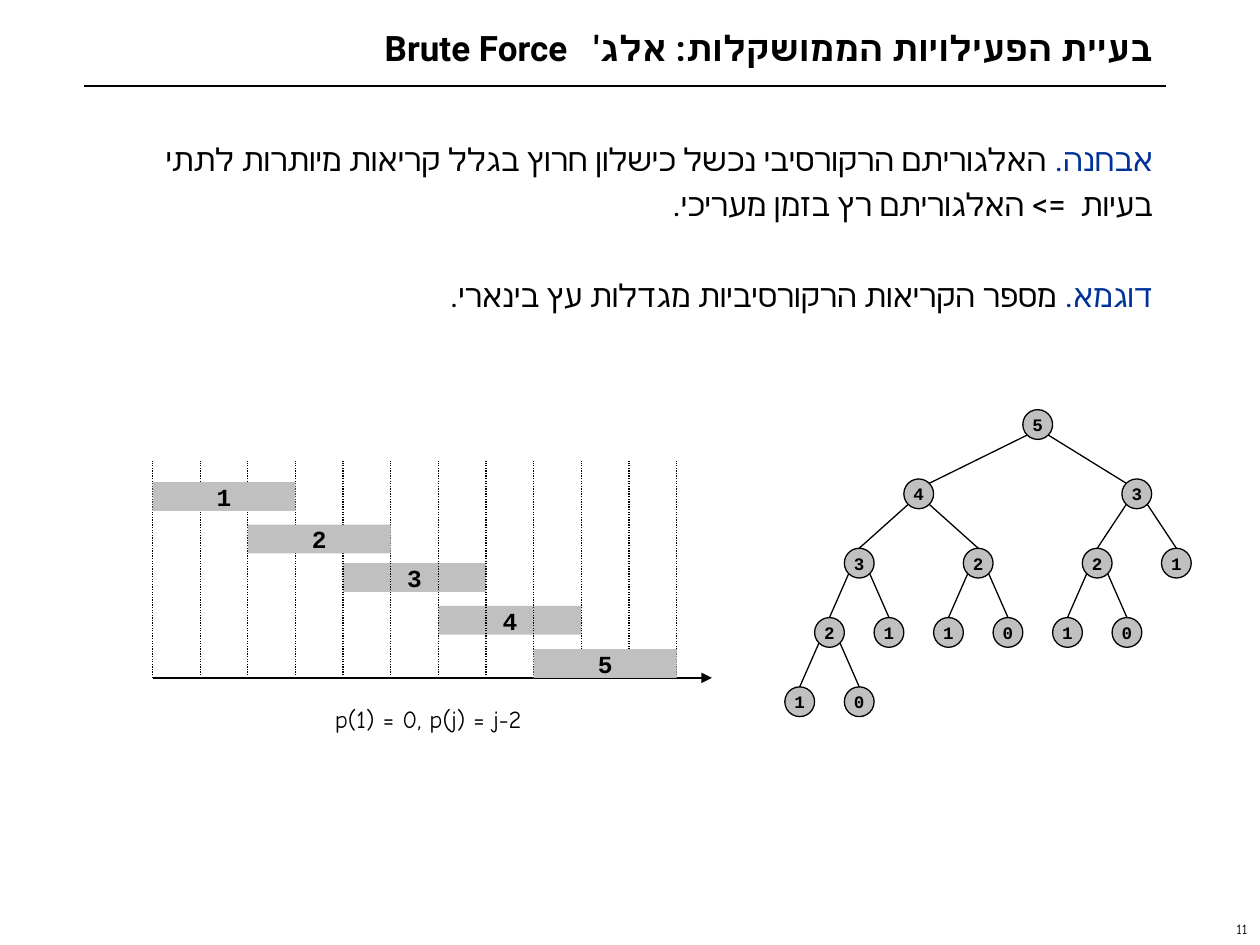
from dataclasses import dataclass

from lxml.etree import SubElement
from pptx import Presentation
from pptx.dml.color import RGBColor
from pptx.enum.dml import MSO_LINE
from pptx.enum.shapes import MSO_CONNECTOR, MSO_SHAPE
from pptx.enum.text import MSO_ANCHOR, MSO_AUTO_SIZE, PP_ALIGN
from pptx.oxml.ns import qn
from pptx.slide import Slide
from pptx.util import Pt


def rgb(hex_color):
    return RGBColor.from_string(hex_color)


@dataclass
class Deck:
    """Style of the deck and the slide being drawn."""
    slide: Slide
    ink: str = "000000"
    accent: str = "003399"
    gray: str = "C0C0C0"
    text_font: str = "Roboto"
    note_font: str = "Comic Neue"
    label_font: str = "Courier New"

    def run(self, p, text, size, font, color=None, bold=False):
        r = p.add_run()
        r.text = text
        r.font.size, r.font.name, r.font.bold = Pt(size), font, bold
        r.font.color.rgb = rgb(color or self.ink)
        SubElement(r.font._element, qn("a:cs"), typeface=font)

    def right_to_left(self, p, spacing):
        p.alignment = PP_ALIGN.RIGHT
        p.line_spacing = spacing
        p._p.get_or_add_pPr().set("rtl", "1")

    def title(self, text, x, y, w, h):
        sp = self.slide.shapes.title
        sp.left, sp.top, sp.width, sp.height = Pt(x), Pt(y), Pt(w), Pt(h)
        tf = sp.text_frame
        tf.auto_size = MSO_AUTO_SIZE.NONE
        tf.vertical_anchor = MSO_ANCHOR.MIDDLE
        self.right_to_left(tf.paragraphs[0], 0.7)
        self.run(tf.paragraphs[0], text, 20, self.text_font, bold=True)

    def body(self, items, x, y, w, h, spacing=26):
        """Right-to-left paragraphs, each with a coloured lead-in."""
        tf = self.slide.shapes.add_textbox(Pt(x), Pt(y), Pt(w), Pt(h)).text_frame
        tf.word_wrap = True
        for i, (lead, text) in enumerate(items):
            p = tf.add_paragraph() if i else tf.paragraphs[0]
            self.right_to_left(p, Pt(spacing))
            if i:
                p.space_before = Pt(spacing)
            self.run(p, lead, 18, self.text_font, self.accent)
            self.run(p, text, 18, self.text_font)

    def note(self, text, x, y, w, h, size, align=PP_ALIGN.LEFT, anchor=MSO_ANCHOR.TOP):
        tf = self.slide.shapes.add_textbox(Pt(x), Pt(y), Pt(w), Pt(h)).text_frame
        tf.word_wrap = False
        tf.vertical_anchor = anchor
        tf.paragraphs[0].alignment = align
        self.run(tf.paragraphs[0], text, size, self.note_font)

    def line(self, x1, y1, x2, y2, width=0.75, dotted=False, arrow=False):
        c = self.slide.shapes.add_connector(
            MSO_CONNECTOR.STRAIGHT, Pt(x1), Pt(y1), Pt(x2), Pt(y2))
        c.line.color.rgb = rgb(self.ink)
        c.line.width = Pt(width)
        if dotted:
            c.line.dash_style = MSO_LINE.ROUND_DOT
        if arrow:
            SubElement(c.line._get_or_add_ln(), qn("a:tailEnd"), type="triangle")
        SubElement(c._element.spPr, qn("a:effectLst"))

    def label_shape(self, kind, text, x, y, w, h, size, outlined=False):
        sp = self.slide.shapes.add_shape(kind, Pt(x), Pt(y), Pt(w), Pt(h))
        sp.shadow.inherit = False
        sp.fill.solid()
        sp.fill.fore_color.rgb = rgb(self.gray)
        if outlined:
            sp.line.color.rgb = rgb(self.ink)
            sp.line.width = Pt(0.75)
        else:
            sp.line.fill.background()
        tf = sp.text_frame
        tf.word_wrap = False
        tf.vertical_anchor = MSO_ANCHOR.MIDDLE
        tf.paragraphs[0].alignment = PP_ALIGN.CENTER
        self.run(tf.paragraphs[0], text, size, self.label_font, bold=True)


LEFT, WIDTH = 48.24, 617.76

# Timeline
AXIS_X, AXIS_Y, GRID_TOP, UNIT = 87.2, 387.4, 263.5, 27.22
BAR_TOPS = {1: 275.5, 2: 299.75, 3: 321.75, 4: 346.25, 5: 371}

# Recursion tree: the columns from a call to its two subcalls, by (j, depth)
TREE_X, TREE_Y, COL, ROW, NODE = 457, 242.6, 17, 39.6, 17
SPREAD = {(5, 0): (4, 3.33), (4, 1): (2, 2), (3, 1): (1.33, 1.33)}
DIAGONAL = 6  # from a node's centre to its corner points, on each axis


def timeline(deck):
    def bar(j):
        deck.label_shape(MSO_SHAPE.RECTANGLE, str(j), AXIS_X + 2 * (j - 1) * UNIT,
                         BAR_TOPS[j], 3 * UNIT, 16.4, 14)

    deck.line(AXIS_X, AXIS_Y, 406.8, AXIS_Y, arrow=True)
    for j in (3, 4):
        bar(j)
    for i in range(12):
        x = AXIS_X + i * UNIT
        deck.line(x, AXIS_Y, x, GRID_TOP, dotted=True)
    for j in (5, 1, 2):
        bar(j)
    deck.note("p(1) = 0, p(j) = j-2", 184.3, 398.9, 129.6, 23.8, 14)


def call_tree(deck, j, col, depth=0):
    """Draw the call for j and, below it, the calls for j-1 and j-2."""
    x, y = TREE_X + col * COL, TREE_Y + depth * ROW
    deck.label_shape(MSO_SHAPE.OVAL, str(j), x - NODE / 2, y - NODE / 2,
                     NODE, NODE, 10, outlined=True)
    if j < 2:
        return
    left, right = SPREAD.get((j, depth), (1, 1))
    for child, side, step in ((j - 1, -1, left), (j - 2, 1, right)):
        child_col = col + side * step
        child_x, child_y = TREE_X + child_col * COL, y + ROW
        if depth == 0:
            end = child_x - side * DIAGONAL, child_y - DIAGONAL
        else:
            end = child_x, child_y - NODE / 2
        deck.line(x + side * DIAGONAL, y + DIAGONAL, *end)
        call_tree(deck, child, child_col, depth + 1)


def main():
    prs = Presentation()
    prs.slide_width, prs.slide_height = Pt(720), Pt(540)
    deck = Deck(prs.slides.add_slide(prs.slide_layouts[5]))

    deck.line(LEFT, 49, LEFT + WIDTH, 49, width=1.25)
    deck.note("11", 570.2, 522, 149.8, 18, 8, PP_ALIGN.RIGHT, MSO_ANCHOR.MIDDLE)
    deck.title("בעיית הפעילויות הממושקלות: אלג'   Brute Force", LEFT, 12.2, WIDTH, 36)
    deck.body([
        ("אבחנה. ", "האלגוריתם הרקורסיבי נכשל כישלון חרוץ בגלל קריאות מיותרות "
                    "לתתי בעיות  => האלגוריתם רץ בזמן מעריכי."),
        ("דוגמא. ", "מספר הקריאות הרקורסיביות מגדלות עץ בינארי."),
    ], LEFT, 72, WIDTH, 426)
    timeline(deck)
    call_tree(deck, 5, 8)
    prs.save("out.pptx")


if __name__ == "__main__":
    main()
